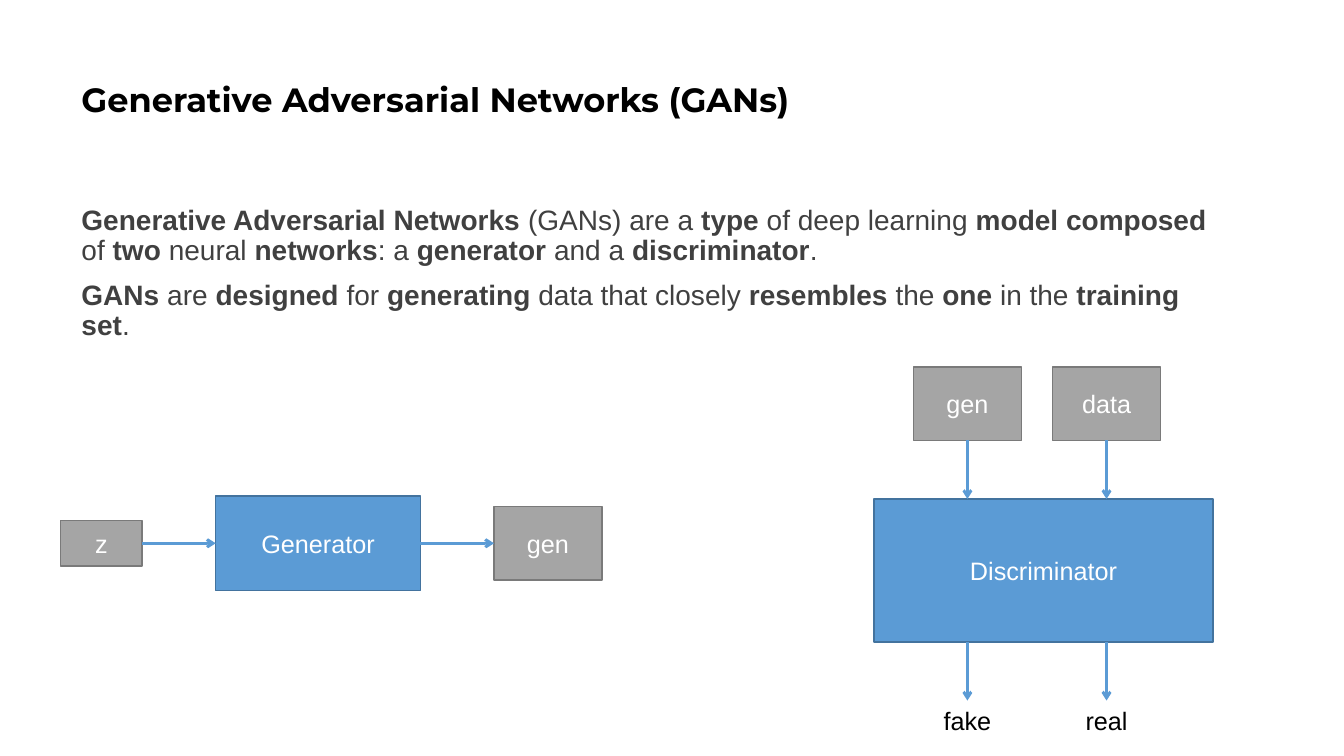
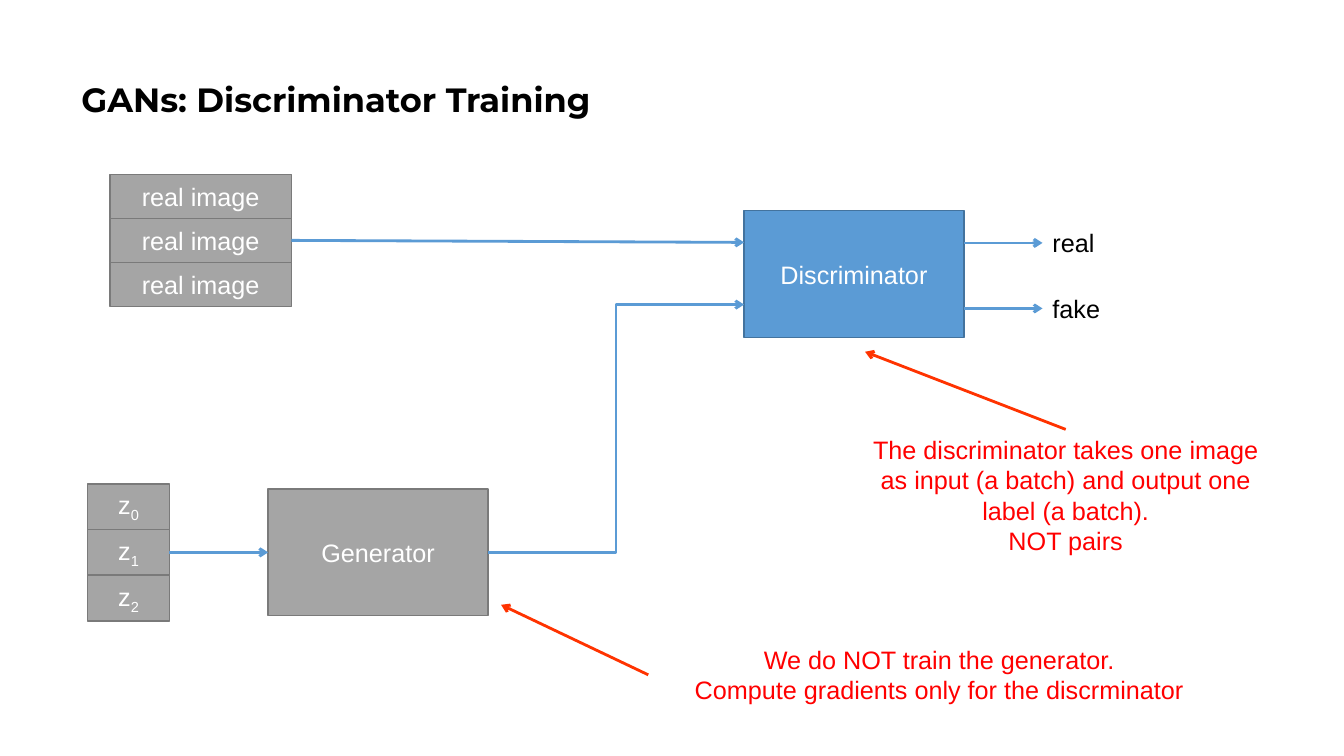
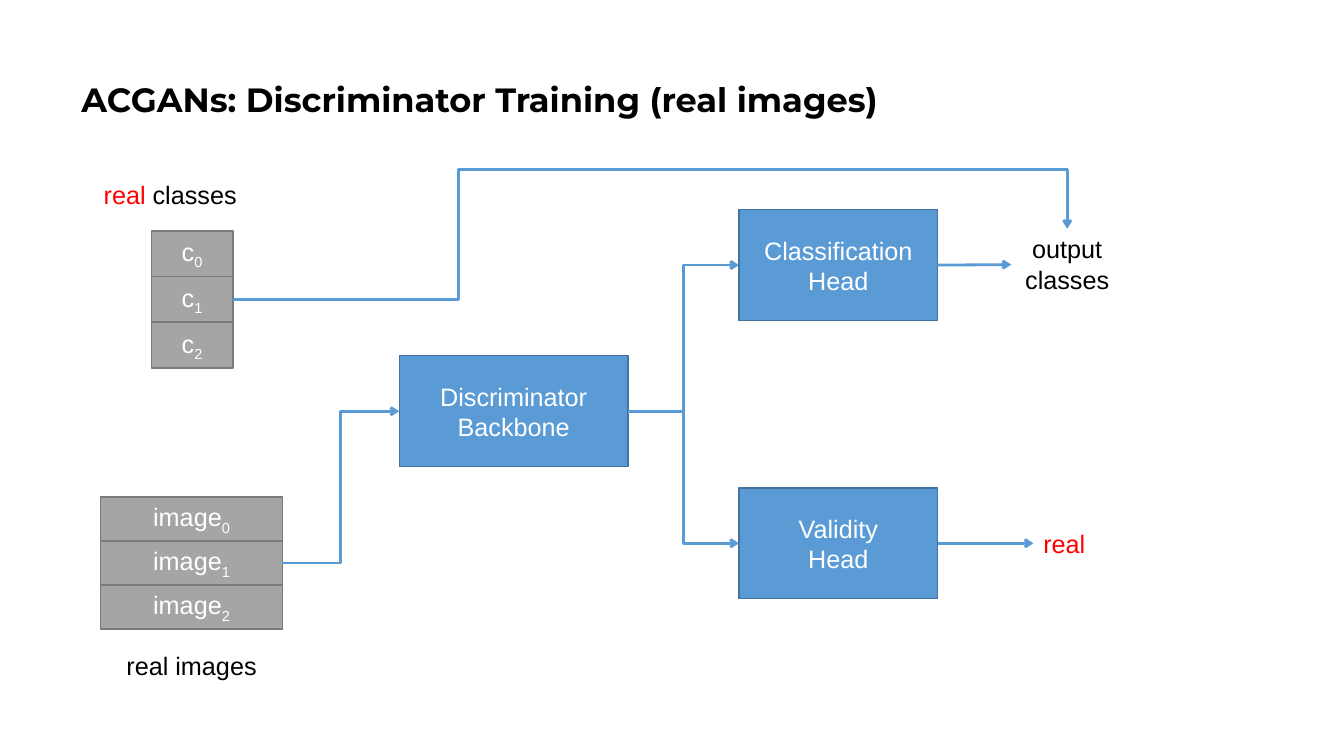
from itertools import pairwise

from lxml import etree
from pptx import Presentation
from pptx.dml.color import RGBColor
from pptx.enum.shapes import MSO_CONNECTOR, MSO_SHAPE
from pptx.enum.text import MSO_ANCHOR, MSO_AUTO_SIZE, PP_ALIGN
from pptx.oxml.ns import qn
from pptx.util import Inches, Pt

BLACK = RGBColor(0x00, 0x00, 0x00)
WHITE = RGBColor(0xFF, 0xFF, 0xFF)
CHARCOAL = RGBColor(0x40, 0x40, 0x40)
RED = RGBColor(0xFF, 0x00, 0x00)
ORANGE = RGBColor(0xFF, 0x33, 0x00)
BLUE = RGBColor(0x5B, 0x9B, 0xD5)
NAVY = RGBColor(0x43, 0x73, 0x9E)
GREY = RGBColor(0xA5, 0xA5, 0xA5)
SLATE = RGBColor(0x7A, 0x7A, 0x7A)
ACTIVE = (BLUE, NAVY)
PASSIVE = (GREY, SLATE)

RECT = MSO_SHAPE.RECTANGLE
STRAIGHT, ELBOW = MSO_CONNECTOR.STRAIGHT, MSO_CONNECTOR.ELBOW
LEFT, CENTER = PP_ALIGN.LEFT, PP_ALIGN.CENTER
TOP, MIDDLE = MSO_ANCHOR.TOP, MSO_ANCHOR.MIDDLE
GROW = MSO_AUTO_SIZE.SHAPE_TO_FIT_TEXT

BASE = {"name": "Arial", "size": Pt(18)}
HEAD = {"name": "Montserrat", "size": Pt(24), "bold": True}
BODY = {"name": "Arial", "size": Pt(20)}
SPACED = {"line_spacing": 0.9, "space_before": Pt(10)}

# Connection sites by relative position on a rectangle
SITES = {(0.5, 0): 0, (0, 0.5): 1, (0.5, 1): 2, (1, 0.5): 3}


def write(shape, lines, color, font=BASE, align=CENTER, layout=None):
    """Fill a shape; a line is a string or a list of (text, format) runs."""
    frame = shape.text_frame
    for i, line in enumerate(lines):
        para = frame.paragraphs[0] if i == 0 else frame.add_paragraph()
        for key, value in {"alignment": align, **(layout or {})}.items():
            setattr(para, key, value)
        for text, extra in [(line, {})] if isinstance(line, str) else line:
            run = para.add_run()
            run.text = text
            style = {**font, **extra}
            run.font.color.rgb = style.pop("color", color)
            if style.pop("sub", False):
                run.font._element.set("baseline", "-25000")
            for key, value in style.items():
                setattr(run.font, key, value)


def block(slide, at, lines, tone=ACTIVE):
    shape = slide.shapes.add_shape(RECT, *map(Inches, at))
    shape.shadow.inherit = False
    shape.fill.solid()
    shape.fill.fore_color.rgb, shape.line.color.rgb = tone
    shape.line.width = Pt(1)
    shape.text_frame.word_wrap = True
    shape.text_frame.vertical_anchor = MIDDLE
    write(shape, lines, WHITE)
    return shape


def label(slide, at, lines, color=BLACK, wrap=False, grow=True, anchor=TOP,
          **style):
    shape = slide.shapes.add_textbox(*map(Inches, at))
    frame = shape.text_frame
    frame.word_wrap, frame.vertical_anchor = wrap, anchor
    if grow:
        frame.auto_size = GROW
    write(shape, lines, color, **style)
    return shape


def stack(slide, at, rows):
    """Pile equal grey cells into the box and return the middle one."""
    x, y, w, h = at
    step = h / len(rows)
    cells = [block(slide, (x, y + i * step, w, step), [row], PASSIVE)
             for i, row in enumerate(rows)]
    return cells[len(cells) // 2]


def indexed(name):
    return [[(name, {}), (str(i), {"sub": True})] for i in range(3)]


def spot(shape, fx, fy):
    return (int(shape.left + fx * shape.width),
            int(shape.top + fy * shape.height))


def link(slide, start, stop, color=BLUE, kind=STRAIGHT, bends=None):
    """Draw an arrow; an end is (shape, fx, fy) or a point (x, y) in inches."""
    ends = (start, stop)
    points = [spot(*end) if len(end) == 3 else tuple(map(Inches, end))
              for end in ends]
    line = slide.shapes.add_connector(kind, *points[0], *points[1])
    for end, join in zip(ends, (line.begin_connect, line.end_connect)):
        if end[1:] in SITES:
            join(end[0], SITES[end[1:]])
    line.line.color.rgb = color
    line.line.width = Pt(2)
    props = line._element.spPr
    etree.SubElement(props.find(qn("a:ln")), qn("a:tailEnd"), type="arrow")
    etree.SubElement(props, qn("a:effectLst"))
    if bends:
        shape = props.find(qn("a:prstGeom"))
        shape.set("prst", f"bentConnector{len(bends) + 2}")
        guides = shape.find(qn("a:avLst"))
        for i, bend in enumerate(bends, 1):
            etree.SubElement(guides, qn("a:gd"), name=f"adj{i}",
                             fmla=f"val {round(bend * 100000)}")


def page(deck, title):
    slide = deck.slides.add_slide(deck.slide_layouts[6])
    label(slide, (0.71, 0.28, 11.5, 1.45), [title], wrap=True, grow=False,
          anchor=MIDDLE, font=HEAD, align=LEFT, layout={"line_spacing": 0.9})
    return slide


def intro(slide, at):
    """Write paragraphs whose runs alternate between bold and regular."""
    texts = [
        ["Generative Adversarial Networks", " (GANs) are a ", "type ",
         "of deep learning ", "model composed ", "of ", "two ", "neural ",
         "networks", ": a ", "generator ", "and a ", "discriminator", "."],
        ["GANs ", "are ", "designed ", "for ", "generating ",
         "data that closely ", "resembles ", "the ", "one ", "in the ",
         "training set", "."],
    ]
    lines = [[(part, {"bold": i % 2 == 0}) for i, part in enumerate(parts)]
             for parts in texts]
    label(slide, at, lines, CHARCOAL, wrap=True, grow=False, font=BODY,
          align=LEFT, layout=SPACED)


def maker(slide, x, y):
    """Chain noise, generator and output around one middle line."""
    tall, gap = 0.94, 0.73
    chain = []
    for text, w, h, tone in (("z", 0.81, 0.45, PASSIVE),
                             ("Generator", 2.03, tall, ACTIVE),
                             ("gen", 1.07, 0.73, PASSIVE)):
        at = (x, y + (tall - h) / 2, w, h)
        chain.append(block(slide, at, [text], tone))
        x += w + gap
    for left, right in pairwise(chain):
        link(slide, (left, 1, 0.5), (right, 0, 0.5))


def judge(slide, x, y):
    """Place the discriminator with its inputs above and verdicts below."""
    wide, w = 3.36, 1.07
    core = block(slide, (x, y + 1.31, wide, 1.42), ["Discriminator"])
    for i, (source, verdict) in enumerate((("gen", "fake"), ("data", "real"))):
        left = 0.39 + i * 1.38
        mid = left + w / 2
        box = block(slide, (x + left, y, w, 0.73), [source], PASSIVE)
        name = label(slide, (x + mid - 0.35, y + 3.31, 0.7, 0.4), [verdict])
        link(slide, (box, 0.5, 1), (core, mid / wide, 0))
        link(slide, (core, mid / wide, 1), (name, 0.5, 0))


def overview(deck):
    slide = page(deck, "Generative Adversarial Networks (GANs)")
    intro(slide, (0.71, 2, 11.5, 1.86))
    maker(slide, 0.6, 4.92)
    judge(slide, 8.67, 3.64)


def source(slide, x, y):
    """Place the noise batch and the frozen generator, and return the latter."""
    noise = stack(slide, (x, y, 0.81, 1.36), indexed("z"))
    box = block(slide, (x + 1.79, y + 0.05, 2.18, 1.26), ["Generator"], PASSIVE)
    link(slide, (noise, 1, 0.5), (box, 0, 0.5))
    return box


def critic(slide, x, y):
    """Place the discriminator with its two labels, and return it."""
    box = block(slide, (x, y, 2.18, 1.26), ["Discriminator"])
    for text, w, mid in (("real", 0.67, 0.32), ("fake", 0.73, 0.97)):
        name = label(slide, (x + 2.96, y + mid - 0.2, w, 0.4), [text],
                     align=LEFT)
        link(slide, (box, 1, mid / 1.26), (name, 0, 0.5))
    return box


def training(deck):
    slide = page(deck, "GANs: Discriminator Training")
    real = stack(slide, (1.09, 1.73, 1.8, 1.31), ["real image"] * 3)
    maker_box = source(slide, 0.87, 4.8)
    core = critic(slide, 7.38, 2.09)
    link(slide, (real, 1, 0.5), (core, 0, 0.25))
    link(slide, (maker_box, 1, 0.5), (core, 0, 0.74), kind=ELBOW)
    frozen = label(slide, (6.43, 6.34, 5.77, 0.71),
                   ["We do NOT train the generator.",
                    "Compute gradients only for the discrminator"], RED)
    single = label(slide, (8.52, 4.26, 4.1, 1.31),
                   ["The discriminator takes one image as input (a batch) "
                    "and output one label (a batch).", "NOT pairs"],
                   RED, wrap=True)
    link(slide, (frozen, 0, 0.5), (4.97, 6), ORANGE)
    link(slide, (single, 0.5, 0), (8.58, 3.49), ORANGE)


def classes(slide, x, y):
    label(slide, (x, y, 1.66, 0.4), [[("real ", {"color": RED}),
                                      ("classes", {})]], align=LEFT)
    return stack(slide, (x + 0.57, y + 0.56, 0.81, 1.36), indexed("c"))


def images(slide, x, y):
    label(slide, (x, y + 1.47, 1.8, 0.4), ["real images"], wrap=True)
    return stack(slide, (x, y, 1.8, 1.31), indexed("image"))


def heads(slide, x, y):
    """Place backbone and heads; return the backbone and the class output."""
    core = block(slide, (x, y + 1.45, 2.27, 1.1), ["Discriminator", "Backbone"])
    sorter = block(slide, (x + 3.37, y, 1.97, 1.1), ["Classification", "Head"])
    valid = block(slide, (x + 3.37, y + 2.76, 1.97, 1.1), ["Validity", "Head"])
    kinds = label(slide, (x + 6.07, y + 0.19, 1.11, 0.71),
                  ["output", "classes"])
    truth = label(slide, (x + 6.29, y + 3.11, 0.67, 0.4), ["real"], RED,
                  align=LEFT)
    for head, result in ((sorter, kinds), (valid, truth)):
        link(slide, (core, 1, 0.5), (head, 0, 0.5), kind=ELBOW)
        link(slide, (head, 1, 0.5), (result, 0, 0.5))
    return core, kinds


def auxiliary(deck):
    slide = page(deck, "ACGANs: Discriminator Training (real images)")
    group = classes(slide, 0.93, 1.73)
    batch = images(slide, 1, 4.93)
    core, kinds = heads(slide, 3.96, 2.08)
    link(slide, (batch, 1, 0.5), (core, 0, 0.5), kind=ELBOW)
    link(slide, (group, 1, 0.5), (kinds, 0.5, 0), kind=ELBOW,
         bends=(0.27, 1.84))


def main():
    deck = Presentation()
    deck.slide_width, deck.slide_height = Inches(13.33), Inches(7.5)
    for build in (overview, training, auxiliary):
        build(deck)
    deck.save("out.pptx")


if __name__ == "__main__":
    main()
